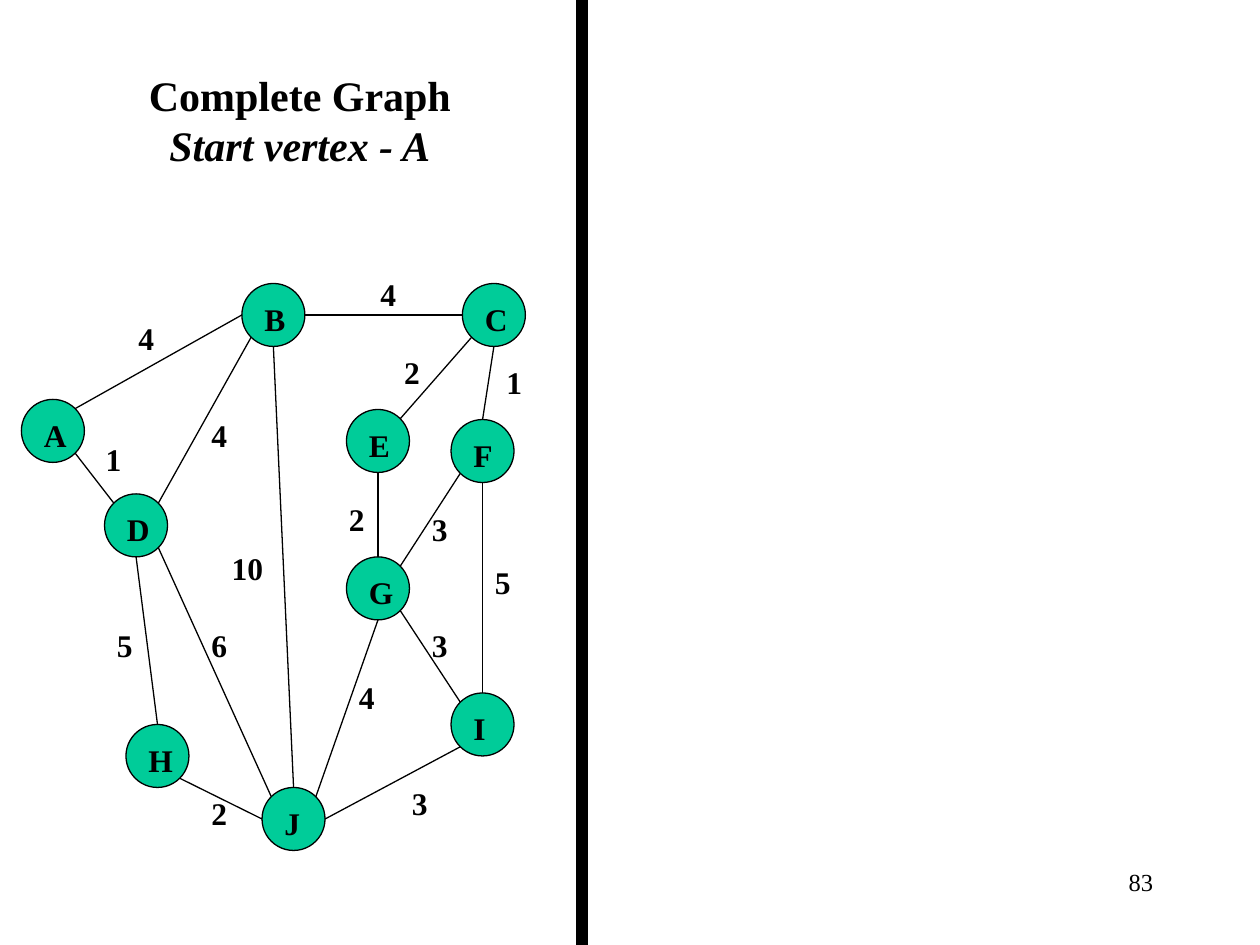
import math
import pptx
import pptx.dml.color
import pptx.enum.shapes
import pptx.enum.text
import pptx.oxml.ns
import pptx.util
from lxml import etree

Inches = pptx.util.Inches
ALIGN = pptx.enum.text.PP_ALIGN
SHAPE = pptx.enum.shapes.MSO_SHAPE
COLORS = {name: pptx.dml.color.RGBColor.from_string(value)
          for name, value in {"ink": "000000", "vertex": "00CC99"}.items()}
DIAMETER = 0.5
LINE_WIDTH = pptx.util.Pt(0.75)


def write(box, lines, size, align, bold=True):
    frame = box.text_frame
    frame.word_wrap = True
    frame.auto_size = pptx.enum.text.MSO_AUTO_SIZE.NONE
    frame.vertical_anchor = pptx.enum.text.MSO_ANCHOR.TOP
    for index, (text, italic) in enumerate(lines):
        para = frame.add_paragraph() if index else frame.paragraphs[0]
        para.alignment = align
        span = para.add_run()
        span.text = text
        span.font.name = "Times New Roman"
        span.font.size = pptx.util.Pt(size)
        span.font.bold = bold
        span.font.italic = italic
        span.font.color.rgb = COLORS["ink"]


def add_solid(kind, left, top, width, height, color):
    shape = page.shapes.add_shape(kind, Inches(left), Inches(top), Inches(width), Inches(height))
    shape.shadow.inherit = False
    shape.fill.solid()
    shape.fill.fore_color.rgb = COLORS[color]
    shape.line.color.rgb = COLORS["ink"]
    shape.line.width = LINE_WIDTH


deck = pptx.Presentation()
deck.slide_width = Inches(10)
deck.slide_height = Inches(7.5)
page = deck.slides.add_slide(deck.slide_layouts[5])

title = page.shapes.title
title.left, title.top = Inches(0.92), Inches(0.5)
title.width, title.height = Inches(2.92), Inches(0.5)
write(title, [("Complete Graph", False), ("Start vertex - A", True)], 24, ALIGN.CENTER)

add_solid(SHAPE.RECTANGLE, 4.58, 0, 0.08, 7.5, "ink")

vertices = {
    "A": (0.17, 3.17), "B": (1.92, 2.25), "C": (3.67, 2.25), "D": (0.83, 3.92),
    "E": (2.75, 3.25), "F": (3.58, 3.33), "G": (2.75, 4.42), "H": (1, 5.75),
    "I": (3.58, 5.5), "J": (2.08, 6.25),
}
for left, top in vertices.values():
    add_solid(SHAPE.OVAL, left, top, DIAMETER, DIAMETER, "vertex")

compass = {side: math.radians(45 * step)
           for step, side in enumerate(["E", "SE", "S", "SW", "W", "NW", "N", "NE"])}
edges = [
    ("A", "NE", "B", "W", "4", 1, 2.48),
    ("A", "SE", "D", "NW", "1", 0.74, 3.44),
    ("B", "E", "C", "W", "4", 2.92, 2.13),
    ("B", "SW", "D", "NE", "4", 1.58, 3.25),
    ("B", "S", "J", "N", "10", 1.74, 4.31),
    ("C", "SW", "E", "NE", "2", 3.11, 2.75),
    ("C", "S", "F", "N", "1", 3.92, 2.83),
    ("D", "S", "H", "N", "5", 0.83, 4.92),
    ("D", "SE", "J", "NW", "6", 1.58, 4.92),
    ("E", "S", "G", "N", "2", 2.67, 3.92),
    ("F", "SW", "G", "NE", "3", 3.33, 4),
    ("F", "S", "I", "N", "5", 3.83, 4.42),
    ("G", "SE", "I", "NW", "3", 3.33, 4.92),
    ("G", "S", "J", "NE", "4", 2.75, 5.33),
    ("H", "SE", "J", "W", "2", 1.58, 6.25),
    ("I", "SW", "J", "E", "3", 3.17, 6.17),
]
labels = [(name, left + 0.08, top + 0.08, 0.34) for name, (left, top) in vertices.items()]
for start, start_side, end, end_side, weight, label_left, label_top in edges:
    points = []
    for name, side in [(start, start_side), (end, end_side)]:
        left, top = vertices[name]
        points.append(Inches(left + DIAMETER / 2 * (1 + math.cos(compass[side]))))
        points.append(Inches(top + DIAMETER / 2 * (1 + math.sin(compass[side]))))
    edge = page.shapes.add_connector(pptx.enum.shapes.MSO_CONNECTOR.STRAIGHT, *points)
    edge.line.color.rgb = COLORS["ink"]
    edge.line.width = LINE_WIDTH
    etree.SubElement(edge._element.spPr, pptx.oxml.ns.qn("a:effectLst"))
    labels.append((weight, label_left, label_top, 0.3 if len(weight) == 1 else 0.47))

for text, left, top, width in labels:
    box = page.shapes.add_textbox(Inches(left), Inches(top), Inches(width), Inches(0.33))
    write(box, [(text, False)], 18, ALIGN.LEFT)

number = page.shapes.add_textbox(Inches(7.17), Inches(6.83), Inches(2.08), Inches(0.5))
write(number, [("83", False)], 14, ALIGN.RIGHT, bold=False)

deck.save("out.pptx")
